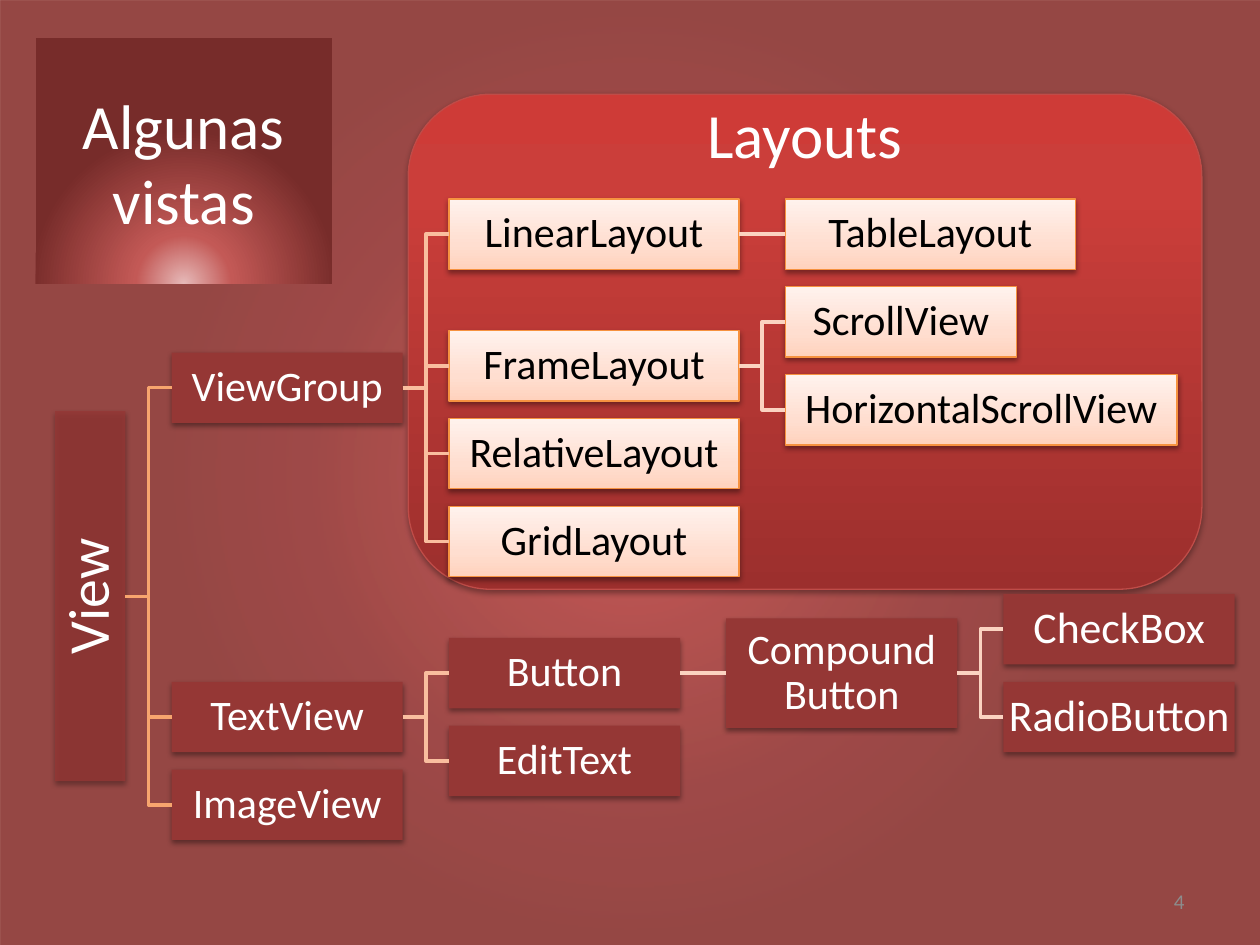
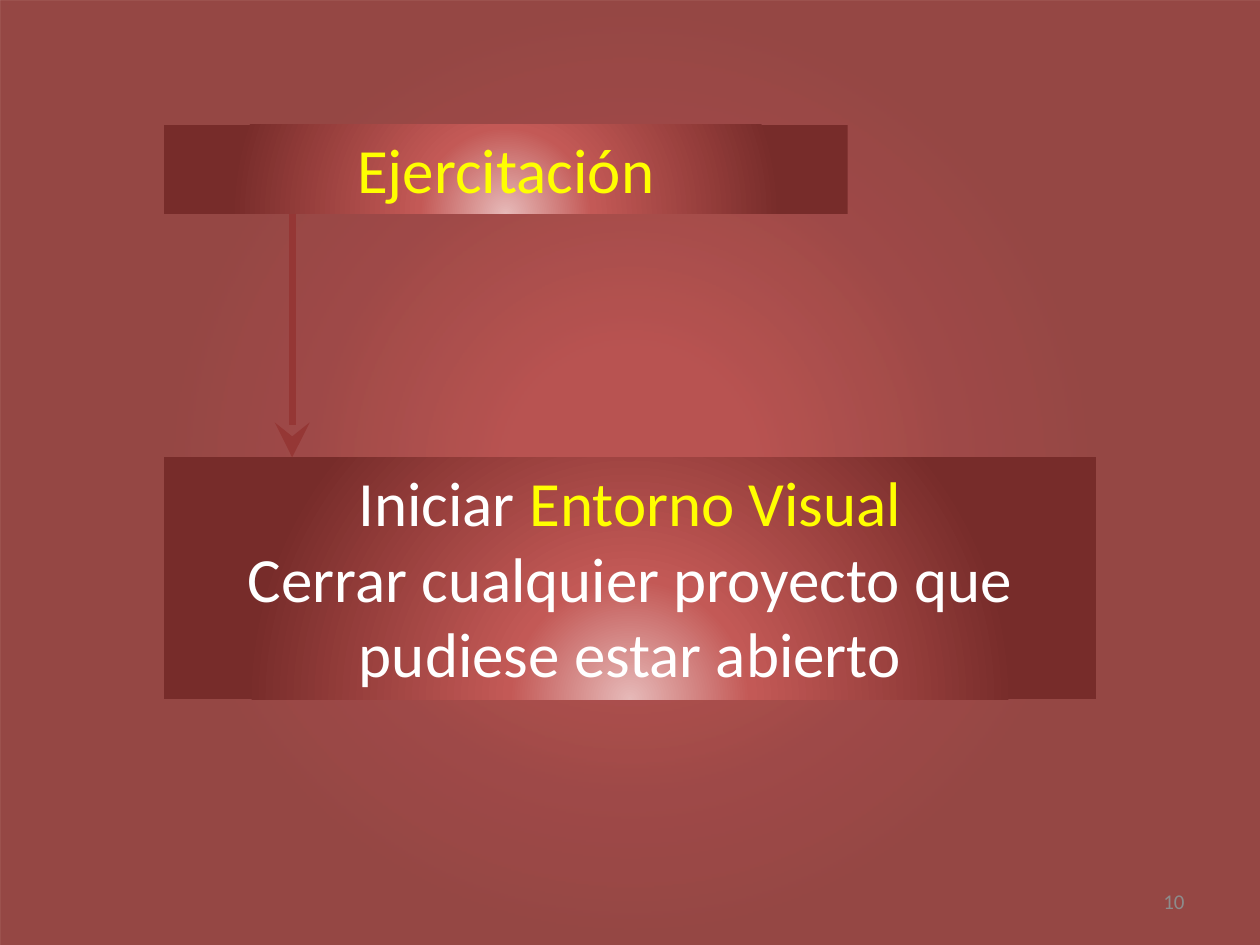
from dataclasses import dataclass, field

from lxml.etree import SubElement
from pptx import Presentation
from pptx.dml.color import RGBColor
from pptx.enum.shapes import MSO_CONNECTOR, MSO_SHAPE
from pptx.enum.text import MSO_ANCHOR, MSO_AUTO_SIZE, PP_ALIGN
from pptx.oxml.ns import qn
from pptx.util import Cm, Pt


@dataclass(frozen=True)
class Theme:
    font: str = "Calibri"
    heading_size: int = 36
    root_size: int = 33
    node_size: int = 24
    number_size: int = 12
    white: str = "FFFFFF"
    black: str = "000000"
    yellow: str = "FFFF00"
    gray: str = "8C8C8C"
    maroon: str = "953735"
    panel_edge: str = "BF4C48"
    layout_edge: str = "F69240"
    branch_colors: tuple = ("F8A56E", "F9BE9F", "FBD3C1")
    # Gradient stops: position in percent, colour
    backdrop_stops: tuple = ((0, "B1423F"), (16, "B1423F"), (41, "953735"), (59, "8B3431"))
    glow_stops: tuple = ((0, "E6B9B8"), (25, "C35956"), (80, "772C2A"))
    panel_stops: tuple = ((0, "9C2F2D"), (80, "CB3E3A"), (100, "CE3B37"))
    layout_stops: tuple = ((0, "FFD2BD"), (35, "FFDED0"), (100, "FFF2ED"))


THEME = Theme()


@dataclass(frozen=True)
class Box:
    """A region in centimetres."""
    left: float
    top: float
    width: float
    height: float

    def inner(self, left, top, width, height):
        return Box(self.left + left, self.top + top, width, height)

    def lengths(self):
        return [Cm(value) for value in (self.left, self.top, self.width, self.height)]


@dataclass
class View:
    """A class in the tree; a parent sits midway between its outer children."""
    label: str
    width: float = 4.66
    leaf_row: float = 0
    children: list = field(default_factory=list)
    is_layout: bool = False
    height: float = 1.42
    size: int = THEME.node_size

    @property
    def row(self):
        if not self.children:
            return self.leaf_row
        return (self.children[0].row + self.children[-1].row) / 2


SLIDE = Box(0, 0, 25.4, 19.05)
ROW_STEP = 1.77
LEVEL_GAP = 0.93


# Formatting helpers

def set_gradient(shape, stops, focus=None, alpha=100):
    """Radial around the focus (left, top, right, bottom) or, without one, vertical."""
    shape.fill.gradient()
    gradient = shape.element.spPr.find(qn("a:gradFill"))
    gradient.clear()
    gradient.set("rotWithShape", "1")
    stop_list = SubElement(gradient, qn("a:gsLst"))
    for position, color in stops:
        stop = SubElement(stop_list, qn("a:gs"), pos=str(position * 1000))
        value = SubElement(stop, qn("a:srgbClr"), val=color)
        if alpha < 100:
            SubElement(value, qn("a:alpha"), val=str(alpha * 1000))
    if focus:
        circle = SubElement(gradient, qn("a:path"), path="circle")
        sides = {side: str(percent * 1000) for side, percent in zip("ltrb", focus)}
        SubElement(circle, qn("a:fillToRect"), **sides)
    else:
        SubElement(gradient, qn("a:lin"), ang="16200000", scaled="0")


def set_solid(shape, color, alpha=100):
    shape.fill.solid()
    shape.fill.fore_color.rgb = RGBColor.from_string(color)
    if alpha < 100:
        value = shape.element.spPr.find(qn("a:solidFill")).find(qn("a:srgbClr"))
        SubElement(value, qn("a:alpha"), val=str(alpha * 1000))


def set_line(shape, color, width):
    shape.line.color.rgb = RGBColor.from_string(color)
    shape.line.width = Pt(width)


def add_shadow(shape, alpha):
    effects = shape.element.spPr.find(qn("a:effectLst"))
    shadow = SubElement(effects, qn("a:outerShdw"), blurRad=str(Pt(3.1)), dist=str(Pt(1.6)),
                        dir="5400000", rotWithShape="0")
    color = SubElement(shadow, qn("a:srgbClr"), val=THEME.black)
    SubElement(color, qn("a:alpha"), val=str(alpha * 1000))


def write(shape, lines, size, color=THEME.white, align=PP_ALIGN.CENTER, anchor=MSO_ANCHOR.TOP):
    """Each line is a string, or a list of (text, colour) pairs."""
    frame = shape.text_frame
    frame.word_wrap = True
    frame.auto_size = MSO_AUTO_SIZE.NONE
    frame.vertical_anchor = anchor
    for index, line in enumerate(lines):
        paragraph = frame.add_paragraph() if index else frame.paragraphs[0]
        paragraph.alignment = align
        for text, run_color in [(line, color)] if isinstance(line, str) else line:
            run = paragraph.add_run()
            run.text = text
            run.font.name = THEME.font
            run.font.size = Pt(size)
            run.font.color.rgb = RGBColor.from_string(run_color)
    return frame


def add_block(slide, box, preset=MSO_SHAPE.RECTANGLE):
    shape = slide.shapes.add_shape(preset, *box.lengths())
    shape.shadow.inherit = False
    shape.line.fill.background()
    return shape


def add_line(slide, kind, start, end, color, width):
    connector = slide.shapes.add_connector(kind, *[Cm(value) for value in (*start, *end)])
    set_line(connector, color, width)
    SubElement(connector.element.spPr, qn("a:effectLst"))
    return connector


# Parts that the slides share

def set_glow(shape):
    set_gradient(shape, THEME.glow_stops, focus=(50, 130, 50, -30))


def add_base_slide(presentation, number):
    slide = presentation.slides.add_slide(presentation.slide_layouts[5])
    backdrop = add_block(slide, SLIDE)
    set_gradient(backdrop, THEME.backdrop_stops, focus=(50, 50, 50, 50), alpha=90)
    # Backdrop goes behind the title
    backdrop.element.getparent().insert(2, backdrop.element)
    page_number = slide.shapes.add_textbox(*SLIDE.inner(18.2, 17.66, 5.93, 1.01).lengths())
    write(page_number, [number], THEME.number_size, THEME.gray, PP_ALIGN.RIGHT, MSO_ANCHOR.MIDDLE)
    return slide


def place_title(slide, box, text, color=THEME.white, top_inset=0.13):
    title = slide.shapes.title
    title.left, title.top, title.width, title.height = box.lengths()
    set_glow(title)
    write(title, [text], THEME.heading_size, color).margin_top = Cm(top_inset)


# View tree

def view_tree():
    def layout(label, row=0, width=5.85, children=()):
        return View(label, width, row, list(children), is_layout=True)

    view_group = View("ViewGroup", children=[
        layout("LinearLayout", children=[layout("TableLayout", 0)]),
        layout("FrameLayout", children=[
            layout("ScrollView", 1, 4.66), layout("HorizontalScrollView", 2, 7.9)]),
        layout("RelativeLayout", 2.5),
        layout("GridLayout", 3.5)])
    compound = View("Compound Button", height=2.21, children=[
        View("CheckBox", leaf_row=4.5, size=25), View("RadioButton", leaf_row=5.5, size=25)])
    text_view = View("TextView", children=[
        View("Button", children=[compound]), View("EditText", leaf_row=6)])
    return View("View", width=1.42, height=7.46, size=THEME.root_size,
                children=[view_group, text_view, View("ImageView", leaf_row=6.5)])


def draw_view(slide, box, view, left=0, depth=0):
    """Draw a view and its descendants; row 0 is centred on the top of the box."""
    top = view.row * ROW_STEP - view.height / 2
    node = add_block(slide, box.inner(left, top, view.width, view.height))
    add_shadow(node, 38)
    if view.is_layout:
        set_gradient(node, THEME.layout_stops)
        set_line(node, THEME.layout_edge, 0.75)
    else:
        set_solid(node, THEME.maroon, 100 if depth else 80)
    frame = write(node, [view.label], view.size, THEME.black if view.is_layout else THEME.white,
                  anchor=MSO_ANCHOR.MIDDLE)
    frame.margin_left = frame.margin_right = frame.margin_top = frame.margin_bottom = Cm(0.05)
    frame.paragraphs[0].line_spacing = 0.9
    if not depth:
        node.element.txBody.bodyPr.set("vert", "vert270")

    # Branches leave from the right side and reach the left side of each child
    color = THEME.branch_colors[min(depth, len(THEME.branch_colors) - 1)]
    for child in view.children:
        child_node = draw_view(slide, box, child, left + view.width + LEVEL_GAP, depth + 1)
        kind = MSO_CONNECTOR.STRAIGHT if child.row == view.row else MSO_CONNECTOR.ELBOW
        branch = add_line(slide, kind, (0, 0), (0, 0), color, 2)
        branch.begin_connect(node, 3)
        branch.end_connect(child_node, 1)
    return node


def add_layouts_panel(slide, box):
    panel = add_block(slide, box, MSO_SHAPE.ROUNDED_RECTANGLE)
    set_gradient(panel, THEME.panel_stops)
    set_line(panel, THEME.panel_edge, 0.75)
    add_shadow(panel, 35)
    heading = slide.shapes.add_textbox(*box.inner(0, -0.1, box.width, 1.8).lengths())
    write(heading, ["Layouts"], THEME.heading_size)


def build_views_slide(presentation):
    slide = add_base_slide(presentation, "4")
    place_title(slide, SLIDE.inner(0.72, 0.76, 5.97, 4.95), "Algunas vistas", top_inset=0.98)
    add_layouts_panel(slide, SLIDE.inner(8.23, 1.9, 16, 9.98))
    draw_view(slide, SLIDE.inner(1.11, 4.72, 23.8, 12.3), view_tree())


# Exercise

def add_step(slide, box, lines):
    step = add_block(slide, box)
    set_glow(step)
    write(step, lines, THEME.heading_size)


def build_exercise_slide(presentation):
    slide = add_base_slide(presentation, "10")
    title_box = SLIDE.inner(3.3, 2.51, 13.79, 1.8)
    step_box = SLIDE.inner(3.3, 9.22, 18.8, 4.88)
    place_title(slide, title_box, "Ejercitación", THEME.yellow)
    add_step(slide, step_box, [
        [("Iniciar ", THEME.white), ("Entorno Visual", THEME.yellow)],
        "Cerrar cualquier proyecto que pudiese estar abierto"])
    # Arrow from the title down to the step
    arrow_x = title_box.left + 2.59
    arrow = add_line(slide, MSO_CONNECTOR.STRAIGHT, (arrow_x, title_box.top + title_box.height),
                     (arrow_x, step_box.top), THEME.maroon, 4)
    SubElement(arrow.element.spPr.find(qn("a:ln")), qn("a:tailEnd"),
               type="stealth", w="lg", len="lg")


def main():
    presentation = Presentation()
    presentation.slide_width = Cm(SLIDE.width)
    presentation.slide_height = Cm(SLIDE.height)
    build_views_slide(presentation)
    build_exercise_slide(presentation)
    presentation.save("out.pptx")


if __name__ == "__main__":
    main()
